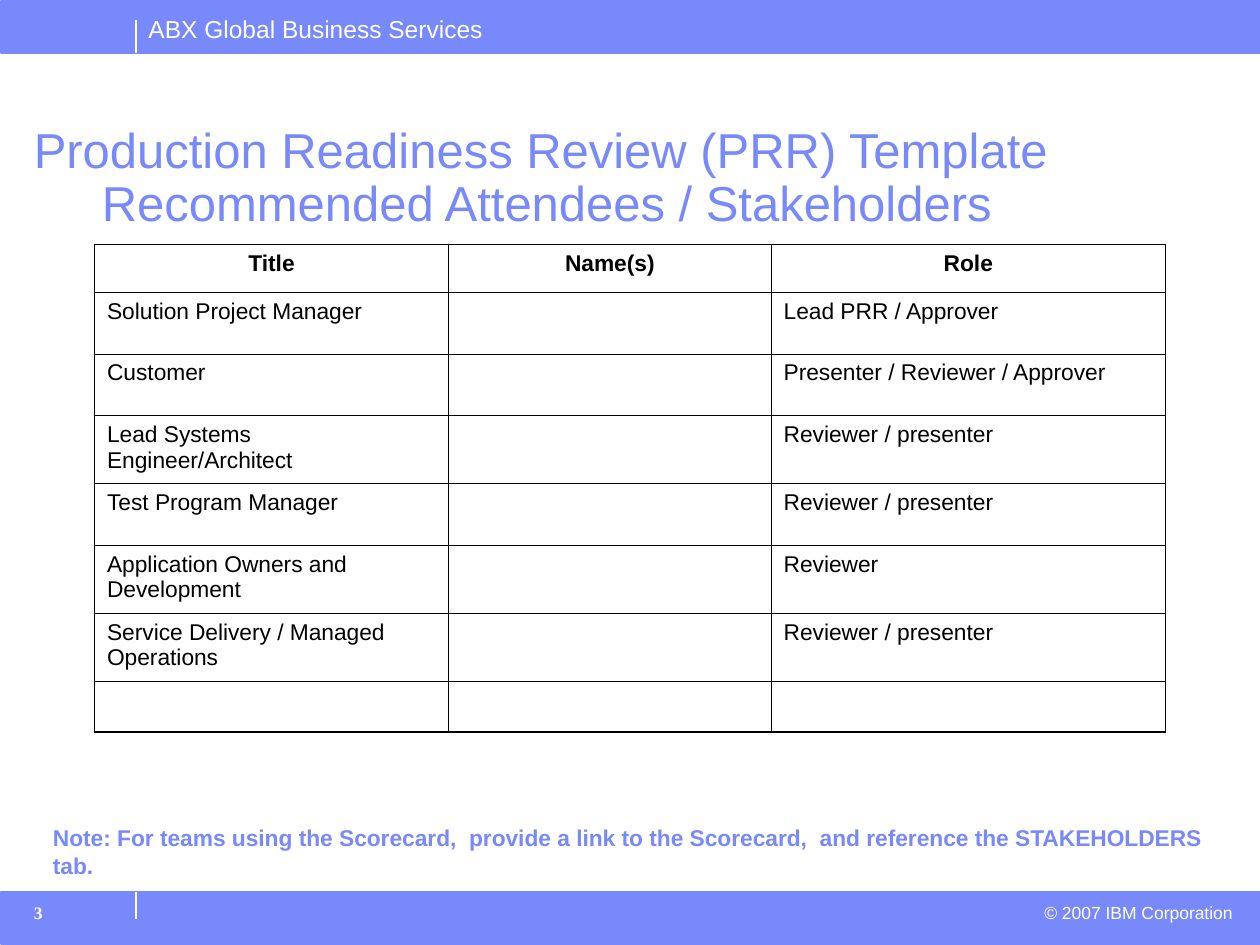
from lxml import etree
from pptx import Presentation
from pptx import util as u
from pptx.dml.color import RGBColor
from pptx.enum import shapes, text
from pptx.oxml.ns import qn

WIDE, HIGH = 10, 7.5
BLUE, WHITE, BLACK = "7889FB", "FFFFFF", "000000"
BAR = 0.41
RULE = 1.08
THICK, THIN = 1.08, 0.45
LEFT, RIGHT, MID = text.PP_ALIGN.LEFT, text.PP_ALIGN.RIGHT, text.PP_ALIGN.CENTER

TITLE = [("Production Readiness Review (PRR) Template", 0),
         ("Recommended Attendees / Stakeholders", 0.54)]
NOTE = ("Note: For teams using the Scorecard,  provide a link to the Scorecard,  "
        "and reference the STAKEHOLDERS tab.")
HEADS = ("Title", "Name(s)", "Role")
STAFF = [
    ("Solution Project Manager", "", "Lead PRR / Approver"),
    ("Customer", "", "Presenter / Reviewer / Approver"),
    ("Lead Systems Engineer/Architect", "", "Reviewer / presenter"),
    ("Test Program Manager", "", "Reviewer / presenter"),
    ("Application Owners and Development", "", "Reviewer"),
    ("Service Delivery / Managed Operations", "", "Reviewer / presenter"),
    ("", "", ""),
]
COLS = (2.81, 2.56, 3.13)
ROWS = (0.38, 0.49, 0.49, 0.54, 0.49, 0.54, 0.54, 0.38)


def color(code):
    return RGBColor.from_string(code)


def write(para, words, size, code, bold=False, face="Arial", align=LEFT):
    para.alignment = align
    run = para.add_run()
    run.text = words
    font = run.font
    font.size, font.bold, font.name = u.Pt(size), bold, face
    font.color.rgb = color(code)


def add_box(slide, x, y, w, h, side=0.1, top=0.05):
    box = slide.shapes.add_textbox(*map(u.Inches, (x, y, w, h)))
    frame = box.text_frame
    frame.word_wrap = True
    frame.margin_left = frame.margin_right = u.Inches(side)
    frame.margin_top = frame.margin_bottom = u.Inches(top)
    return frame


def add_bar(slide, y):
    bar = slide.shapes.add_shape(
        shapes.MSO_SHAPE.RECTANGLE, *map(u.Inches, (0.01, y, WIDE - 0.01, BAR)))
    bar.shadow.inherit = False
    bar.fill.solid()
    bar.fill.fore_color.rgb = color(BLUE)
    bar.line.color.rgb = color(BLUE)
    bar.line.width = u.Pt(1)


def add_rule(slide, top, end):
    rule = slide.shapes.add_connector(
        shapes.MSO_CONNECTOR.STRAIGHT, *map(u.Inches, (RULE, top, RULE, end)))
    rule.line.color.rgb = color(WHITE)
    rule.line.width = u.Pt(1)
    etree.SubElement(rule._element.spPr, qn("a:effectLst"))


def add_edge(cell, side, width):
    edge = etree.SubElement(cell._tc.get_or_add_tcPr(), qn("a:ln" + side))
    edge.set("w", str(int(u.Pt(width))))
    fill = etree.SubElement(edge, qn("a:solidFill"))
    etree.SubElement(fill, qn("a:srgbClr")).set("val", BLACK)


def add_grid(slide, x, y):
    data = [HEADS] + STAFF
    grid = slide.shapes.add_table(
        len(ROWS), len(COLS), *map(u.Inches, (x, y, sum(COLS), sum(ROWS)))).table
    grid.first_row = grid.horz_banding = False
    for col, wide in zip(grid.columns, COLS):
        col.width = u.Inches(wide)
    for r, (row, high) in enumerate(zip(grid.rows, ROWS)):
        row.height = u.Inches(high)
        for c, cell in enumerate(row.cells):
            outer = {"L": c == 0, "R": c == len(COLS) - 1,
                     "T": r == 0, "B": r == len(ROWS) - 1}
            for side, thick in outer.items():
                add_edge(cell, side, THICK if thick else THIN)
            cell.fill.background()
            if data[r][c]:
                write(cell.text_frame.paragraphs[0], data[r][c], 13, BLACK,
                      bold=r == 0, align=LEFT if r else MID)


def main():
    deck = Presentation()
    deck.slide_width, deck.slide_height = u.Inches(WIDE), u.Inches(HIGH)
    slide = deck.slides.add_slide(deck.slide_layouts[6])

    foot = HIGH - BAR - 0.01
    add_bar(slide, 0.01)
    add_bar(slide, foot)
    head = add_box(slide, RULE, 0.06, 3.2, 0.33)
    write(head.paragraphs[0], "ABX Global Business Services", 14, WHITE)
    owner = add_box(slide, 6.26, 7.11, 3.62, 0.27)
    write(owner.paragraphs[0], "© 2007 IBM Corporation", 10, WHITE, align=RIGHT)
    add_rule(slide, 0.16, 0.42)
    add_rule(slide, foot, 7.29)

    title = add_box(slide, 0.17, 0.95, 9.02, 0.55)
    for i, (words, indent) in enumerate(TITLE):
        para = title.add_paragraph() if i else title.paragraphs[0]
        para.line_spacing = 0.9
        para._p.get_or_add_pPr().set("marL", str(int(u.Inches(indent))))
        write(para, words, 28, BLUE)

    note = add_box(slide, 0.33, 6.5, 9.42, 0.52, side=0.09, top=0.04)
    write(note.paragraphs[0], NOTE, 13, BLUE, bold=True)
    add_grid(slide, 0.75, 1.94)
    page = add_box(slide, 0.17, 7.11, 1.1, 0.35)
    write(page.paragraphs[0], "3", 10, WHITE, bold=True, face="Times New Roman")

    deck.save("out.pptx")


if __name__ == "__main__":
    main()
